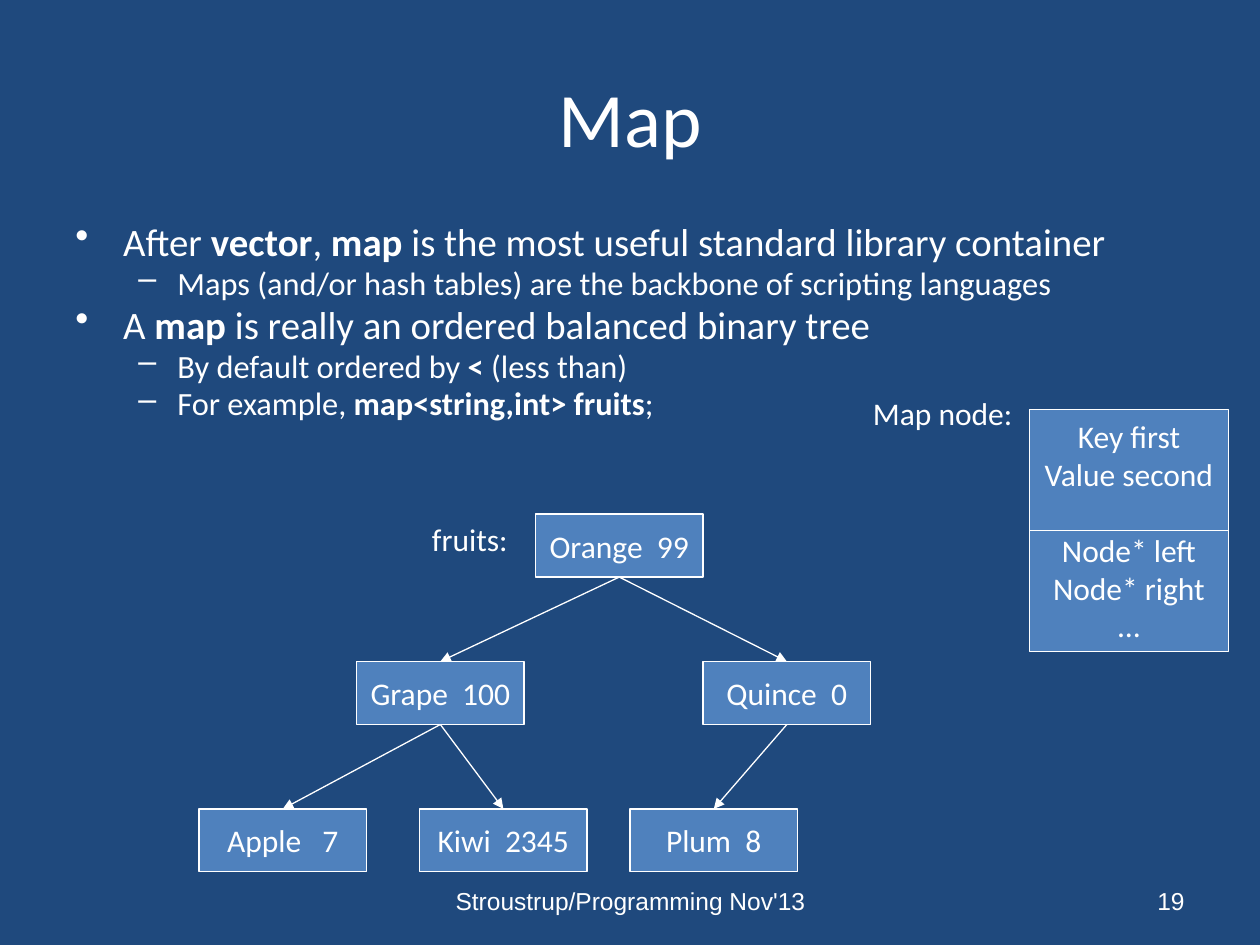
"""Builds the slide on map as a binary tree."""
from lxml import etree
from pptx import Presentation
from pptx.dml.color import RGBColor
from pptx.enum import shapes, text
from pptx.oxml import ns
from pptx.util import Inches, Pt

NAVY = RGBColor(0x1F, 0x49, 0x7D)
BLUE = RGBColor(0x4F, 0x81, 0xBD)
WHITE = RGBColor(0xFF, 0xFF, 0xFF)
LEFT, MID, RIGHT = text.PP_ALIGN.LEFT, text.PP_ALIGN.CENTER, text.PP_ALIGN.RIGHT
TOP, MIDDLE = text.MSO_ANCHOR.TOP, text.MSO_ANCHOR.MIDDLE

LABELS = [
    ("Map", (0.5, 0.3, 9, 1.25), 44, "Calibri", MID, MIDDLE),
    ("fruits:", (3.33, 4.08, 1.08, 0.4), 18, "Calibri", LEFT, TOP),
    ("Map node:", (6.83, 3.08, 1.42, 0.4), 18, "Calibri", LEFT, TOP),
    ("Stroustrup/Programming Nov'13", (3.42, 6.95, 3.17, 0.4), 14, "Arial", MID, MIDDLE),
    ("19", (7.17, 6.95, 2.33, 0.4), 14, "Arial", RIGHT, MIDDLE),
]
POINTS = [
    (0, ["After ", "vector", ", ", "map", " is the most useful standard library container"]),
    (1, ["Maps (and/or hash tables) are the backbone of scripting languages"]),
    (0, ["A ", "map", " is really an ordered balanced binary tree"]),
    (1, ["By default ordered by ", "< ", "(less than)"]),
    (1, ["For example, ", "map<string,int> fruits", ";"]),
]
LEVELS = [("•", 22.2, 0.38, 0.38), ("–", 18.5, 0.81, 0.31)]
TREE = {
    "Orange  99": (4.25, 0, None),
    "Grape  100": (2.83, 1, "Orange  99"),
    "Quince  0": (5.58, 1, "Orange  99"),
    "Apple   7": (1.58, 2, "Grape  100"),
    "Kiwi  2345": (3.33, 2, "Grape  100"),
    "Plum  8": (5, 2, "Quince  0"),
}
ROOT, STEP, SIZE = 4.08, 1.17, (1.33, 0.5)
FIELDS = ["Key first", "Value second", "Node* left", "Node* right", "…"]
GAP = 22


def style(para, size, face="Calibri", align=LEFT):
    para.alignment = align
    font = para.font
    font.size, font.name, font.color.rgb = Pt(size), face, WHITE


def frame(slide, box, anchor=TOP):
    area = slide.shapes.add_textbox(*map(Inches, box)).text_frame
    area.word_wrap, area.vertical_anchor = True, anchor
    return area


def block(slide, box, lines):
    rect = slide.shapes.add_shape(shapes.MSO_SHAPE.RECTANGLE, *map(Inches, box))
    rect.shadow.inherit = False
    rect.fill.solid()
    rect.fill.fore_color.rgb = BLUE
    rect.line.color.rgb, rect.line.width = WHITE, Pt(0.75)
    area = rect.text_frame
    area.word_wrap, area.vertical_anchor = False, MIDDLE
    area.text = "\n".join(lines)
    for para in area.paragraphs:
        style(para, 18, align=MID)
    return rect


def join(slide, start, out, stop, into, arrow=True):
    line = slide.shapes.add_connector(shapes.MSO_CONNECTOR.STRAIGHT, 0, 0, 0, 0)
    line.begin_connect(start, out)
    line.end_connect(stop, into)
    line.line.color.rgb, line.line.width = WHITE, Pt(0.75)
    if arrow:
        etree.SubElement(line.line._get_or_add_ln(), ns.qn("a:tailEnd"), type="triangle")
    etree.SubElement(line._element.spPr, ns.qn("a:effectLst"))


def bullets(slide):
    area = frame(slide, (0.5, 1.75, 9, 1.75))
    for i, (level, runs) in enumerate(POINTS):
        para = area.add_paragraph() if i else area.paragraphs[0]
        mark, size, margin, hang = LEVELS[level]
        style(para, size)
        para.level, para.line_spacing, para.space_before = level, 0.8, Pt(size * 0.2)
        for j, words in enumerate(runs):
            run = para.add_run()
            run.text, run.font.bold = words, j % 2 == 1
        props = para._p.get_or_add_pPr()
        props.set("marL", str(Inches(margin)))
        props.set("indent", str(-Inches(hang)))
        bullet = etree.Element(ns.qn("a:buChar"), char=mark)
        props.find(ns.qn("a:defRPr")).addprevious(bullet)


def main():
    deck = Presentation()
    deck.slide_width, deck.slide_height = Inches(10), Inches(7.5)
    slide = deck.slides.add_slide(deck.slide_layouts[6])
    slide.background.fill.solid()
    slide.background.fill.fore_color.rgb = NAVY
    bullets(slide)
    for words, box, size, face, align, anchor in LABELS:
        area = frame(slide, box, anchor)
        area.text = words
        style(area.paragraphs[0], size, face, align)
    nodes = {}
    for name, (left, row, top) in TREE.items():
        nodes[name] = block(slide, (left, ROOT + row * STEP, *SIZE), [name])
        if top:
            join(slide, nodes[top], 2, nodes[name], 0)
    node = block(slide, (8.17, 3.25, 1.58, 1.92), FIELDS)
    node.text_frame.paragraphs[2].space_before = Pt(GAP)
    join(slide, node, 1, node, 3, arrow=False)
    deck.save("out.pptx")


if __name__ == "__main__":
    main()
